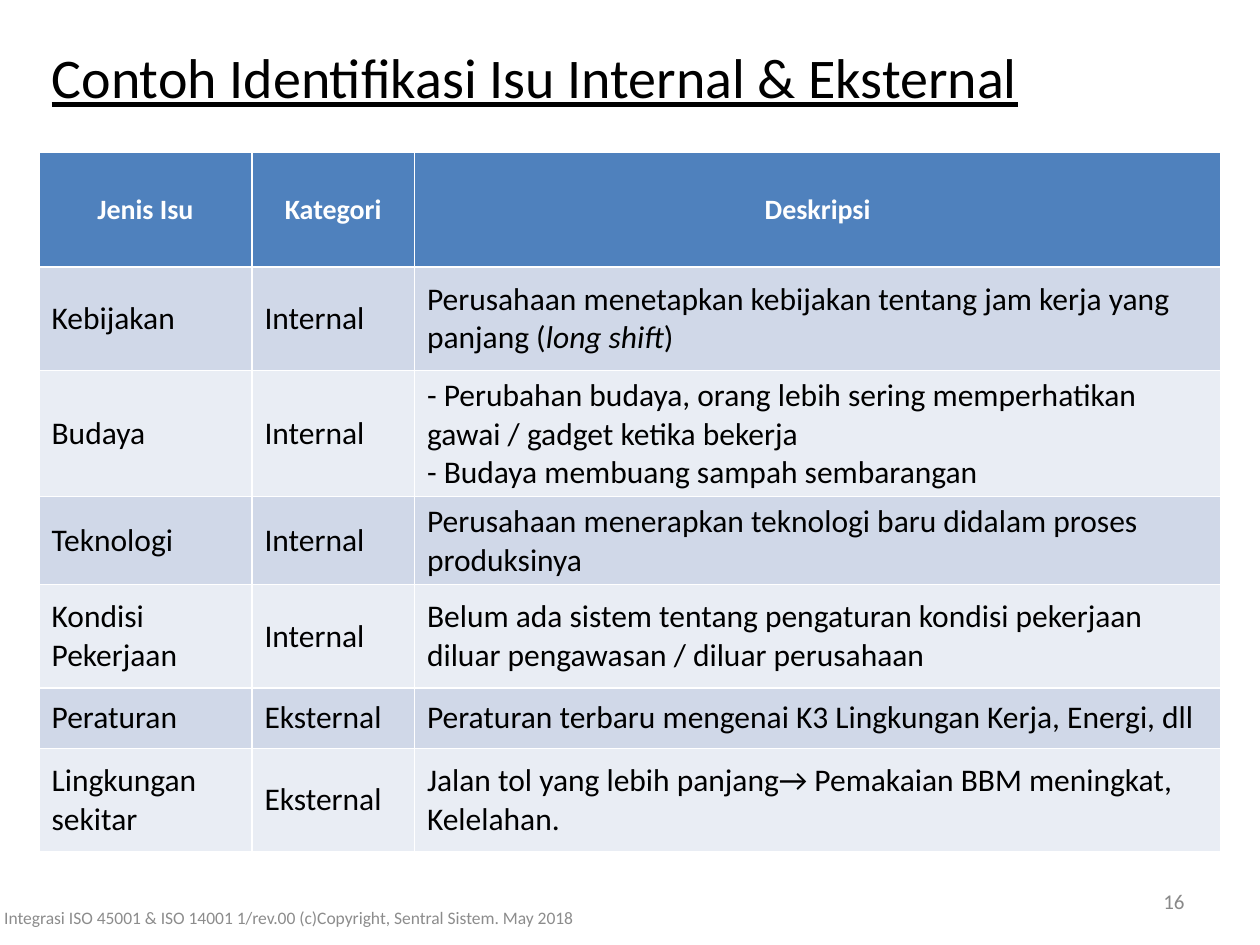
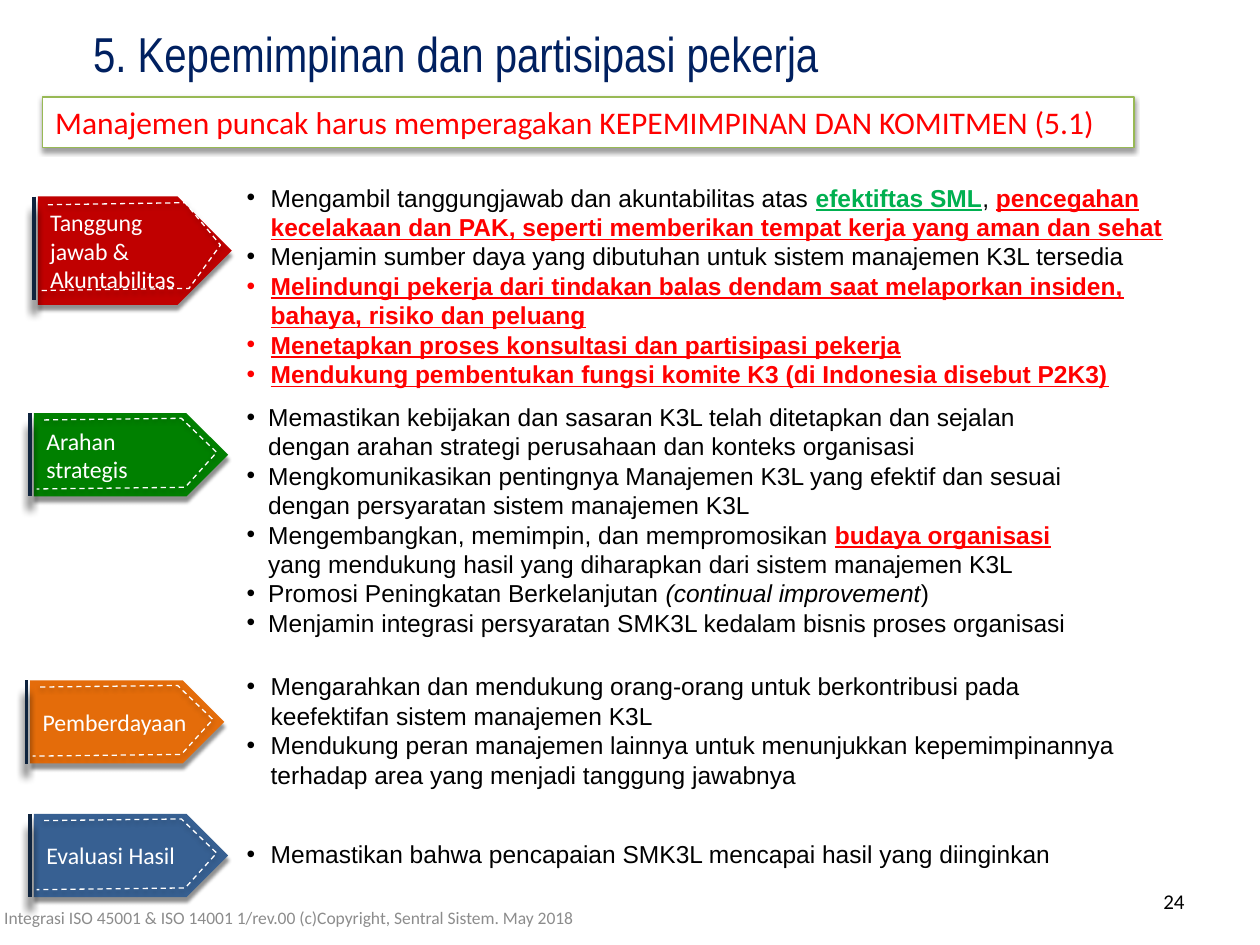
from lxml import etree
from pptx import Presentation
from pptx.dml.color import RGBColor
from pptx.enum.dml import MSO_LINE
from pptx.enum.shapes import MSO_CONNECTOR, MSO_SHAPE
from pptx.enum.text import MSO_ANCHOR, MSO_AUTO_SIZE, PP_ALIGN
from pptx.oxml.ns import qn
from pptx.util import Inches, Pt

LEFT, MID, RIGHT = PP_ALIGN.LEFT, PP_ALIGN.CENTER, PP_ALIGN.RIGHT
TOP, CENTER = MSO_ANCHOR.TOP, MSO_ANCHOR.MIDDLE
RECT, PLATE = MSO_SHAPE.RECTANGLE, MSO_SHAPE.PENTAGON
LINE, DASH, FIXED = MSO_CONNECTOR.STRAIGHT, MSO_LINE.DASH, MSO_AUTO_SIZE.NONE

HEX = {
    "black": "000000", "white": "FFFFFF", "navy": "002060", "bar": "0F243E",
    "red": "FF0000", "lime": "00B050", "edge": "98B955",
    "page": "898989", "foot": "8C8C8C",
    "head": "4F81BD", "odd": "D0D8E8", "even": "E9EDF4",
    "duty": "C00000", "aim": "008000", "power": "E46C0A", "check": "376092",
}

# Run styles: font settings on top of the plain text
STYLES = {
    "plain": {},
    "italic": {"italic": True},
    "alert": {"color": "red", "bold": True, "underline": True},
    "good": {"color": "lime", "bold": True, "underline": True},
}

# Shadows: opacity %, blur pt, distance pt, direction in degrees
SOFT, FINE, DEEP = (43, 2, 3, 85), (38, 3.1, 1.6, 90), (100, 5, 8, 90)

FOOT = ("Integrasi ISO 45001 & ISO 14001 1/rev.00 (c)Copyright, "
        "Sentral Sistem. May 2018")

# Slide 1 content: a paragraph is a string or a list of (text, style) runs
ISSUES = {
    "title": "Contoh Identifikasi Isu Internal & Eksternal",
    "head": ["Jenis Isu", "Kategori", "Deskripsi"],
    "cols": [1.69, 1.29, 6.4],
    "rows": [0.91, 0.82, 0.82, 0.53, 0.82, 0.48, 0.82],
    "body": [
        ("Kebijakan", "Internal", [[
            ("Perusahaan menetapkan kebijakan tentang jam kerja yang panjang (",
             "plain"), ("long shift", "italic"), (")", "plain")]]),
        ("Budaya", "Internal", [
            "- Perubahan budaya, orang lebih sering memperhatikan gawai / "
            "gadget ketika bekerja",
            "- Budaya membuang sampah sembarangan"]),
        ("Teknologi", "Internal", [
            "Perusahaan menerapkan teknologi baru didalam proses produksinya"]),
        ("Kondisi Pekerjaan", "Internal", [
            "Belum ada sistem tentang pengaturan kondisi pekerjaan diluar "
            "pengawasan / diluar perusahaan"]),
        ("Peraturan", "Eksternal", [
            "Peraturan terbaru mengenai K3 Lingkungan Kerja, Energi, dll"]),
        ("Lingkungan sekitar", "Eksternal", [
            "Jalan tol yang lebih panjang→ Pemakaian BBM meningkat, "
            "Kelelahan."]),
    ],
}

# Slide 2 content
LEAD = {
    "title": "5. Kepemimpinan dan partisipasi pekerja",
    "banner": "Manajemen puncak harus memperagakan KEPEMIMPINAN DAN KOMITMEN "
              "(5.1)",
}

# Tag: label, colour, left, top, plate height, bar height
TAGS = [
    ("Tanggung jawab & Akuntabilitas", "duty", 0.3, 1.56, 0.86, 0.82),
    ("Arahan strategis", "aim", 0.27, 3.28, 0.66, 0.66),
    ("Pemberdayaan", "power", 0.24, 5.4, 0.66, 0.66),
    ("Evaluasi Hasil", "check", 0.27, 6.46, 0.66, 0.66),
]
TAG_W = 1.54
# Stitch corners: inches from the left, share of the bar height
STITCH = [(0.08, 0.08), (1.17, 0.06), (1.45, 0.47), (1.2, 0.89), (0.02, 0.91)]

# Bullet lists: box, (left margin, indent), paragraphs
LISTS = [
    ((1.86, 1.4, 7.64, 1.75), (0.19, -0.19), [
        [("Mengambil tanggungjawab dan akuntabilitas atas ", "plain"),
         ("efektiftas SML", "good"), (", ", "plain"),
         ("pencegahan kecelakaan dan PAK, seperti memberikan tempat kerja "
          "yang aman dan sehat", "alert")],
        "Menjamin sumber daya yang dibutuhan untuk sistem manajemen K3L "
        "tersedia",
        [("Melindungi pekerja dari tindakan balas dendam saat melaporkan "
          "insiden, bahaya, risiko dan peluang", "alert")],
        [("Menetapkan proses konsultasi dan partisipasi pekerja", "alert")],
        [("Mendukung pembentukan fungsi komite K3 (di Indonesia disebut P2K3)",
          "alert")],
    ]),
    ((1.81, 3.14, 6.82, 1.99), (0.22, -0.17), [
        "Memastikan kebijakan dan sasaran K3L telah ditetapkan dan sejalan "
        "dengan arahan strategi perusahaan dan konteks organisasi",
        "Mengkomunikasikan pentingnya Manajemen K3L yang efektif dan sesuai "
        "dengan persyaratan sistem manajemen K3L",
        [("Mengembangkan, memimpin, dan mempromosikan ", "plain"),
         ("budaya organisasi ", "alert"),
         ("yang mendukung hasil yang diharapkan dari sistem manajemen K3L",
          "plain")],
        [("Promosi Peningkatan Berkelanjutan ", "plain"),
         ("(continual improvement", "italic"), (")", "plain")],
        "Menjamin integrasi persyaratan SMK3L kedalam bisnis proses organisasi",
    ]),
    ((1.86, 5.28, 7.14, 1.04), (0.19, -0.19), [
        "Mengarahkan dan mendukung orang-orang untuk berkontribusi pada "
        "keefektifan sistem manajemen K3L",
        "Mendukung peran manajemen lainnya untuk menunjukkan "
        "kepemimpinannya terhadap area yang menjadi tanggung jawabnya",
    ]),
    ((1.86, 6.61, 6.82, 0.34), (0.19, -0.19), [
        "Memastikan bahwa pencapaian SMK3L mencapai hasil yang diinginkan",
    ]),
]


def rgb(name):
    return RGBColor.from_string(HEX[name])


def place(*box):
    return [Inches(v) for v in box]


def bullet(para, margin, indent):
    props = para._p.get_or_add_pPr()
    props.set("marL", str(Inches(margin)))
    props.set("indent", str(Inches(indent)))
    etree.SubElement(props, qn("a:buFont")).set("typeface", "Arial")
    etree.SubElement(props, qn("a:buChar")).set("char", "•")


def write(frame, paras, size, color, face="Calibri", align=LEFT, bold=False,
          line=False, dent=None):
    """Fill a text frame with paragraphs of styled runs."""
    for i, item in enumerate(paras):
        para = frame.add_paragraph() if i else frame.paragraphs[0]
        para.alignment = align
        if dent:
            bullet(para, *dent)
        for text, style in [(item, "plain")] if isinstance(item, str) else item:
            look = STYLES[style]
            run = para.add_run()
            run.text = text
            font = run.font
            font.name, font.size = face, Pt(size)
            font.color.rgb = rgb(look.get("color", color))
            font.bold = look.get("bold", bold)
            font.italic = look.get("italic", False)
            font.underline = look.get("underline", line)


def label(slide, box, paras, size, color, anchor=TOP, **kw):
    frame = slide.shapes.add_textbox(*place(*box)).text_frame
    frame.word_wrap = True
    frame.vertical_anchor = anchor
    write(frame, paras, size, color, **kw)


def shade(shape, alpha, blur, dist, angle):
    """Give a shape an outer shadow."""
    props = shape.element.spPr
    for old in props.findall(qn("a:effectLst")):
        props.remove(old)
    cast = etree.SubElement(etree.SubElement(props, qn("a:effectLst")),
                            qn("a:outerShdw"))
    for key, val in (("blurRad", Pt(blur)), ("dist", Pt(dist)),
                     ("dir", angle * 60000), ("rotWithShape", 0)):
        cast.set(key, str(val))
    tone = etree.SubElement(cast, qn("a:srgbClr"))
    tone.set("val", HEX["black"])
    etree.SubElement(tone, qn("a:alpha")).set("val", str(alpha * 1000))


def block(shapes, kind, box, fill, edge, shadow):
    """Add a filled shape; without an edge colour it has no outline."""
    shape = shapes.add_shape(kind, *place(*box))
    shape.fill.solid()
    shape.fill.fore_color.rgb = rgb(fill)
    if edge:
        shape.line.color.rgb = rgb(edge)
        shape.line.width = Pt(0.75)
    else:
        shape.line.fill.background()
    shade(shape, *shadow)
    shape.text_frame.word_wrap = True
    return shape.text_frame


def start(deck, title, box, page, tint, **kw):
    """Add a slide with its title, page number and footer."""
    slide = deck.slides.add_slide(deck.slide_layouts[5])
    head = slide.shapes.title
    head.left, head.top, head.width, head.height = place(*box)
    frame = head.text_frame
    frame.auto_size, frame.vertical_anchor = FIXED, TOP
    write(frame, [title], **kw)
    label(slide, (7.17, 6.95, 2.33, 0.4), [page], 12, tint, CENTER, align=RIGHT)
    label(slide, (-0.19, 7.08, 4.96, 0.4), [FOOT], 10, "foot", CENTER,
          align=MID)
    return slide


def grid(slide, data):
    """Add the table of issues."""
    cols, rows = data["cols"], data["rows"]
    table = slide.shapes.add_table(
        len(rows), len(cols),
        *place(0.31, 1.21, sum(cols), sum(rows))).table
    for col, width in zip(table.columns, cols):
        col.width = Inches(width)
    for row, height in zip(table.rows, rows):
        row.height = Inches(height)
    for r, line in enumerate([data["head"]] + data["body"]):
        for c, item in enumerate(line):
            cell = table.cell(r, c)
            cell.vertical_anchor = CENTER
            cell.fill.solid()
            fill = ("odd" if r % 2 else "even") if r else "head"
            cell.fill.fore_color.rgb = rgb(fill)
            paras = [item] if isinstance(item, str) else item
            if r:
                write(cell.text_frame, paras, 18, "black")
            else:
                write(cell.text_frame, paras, 16, "white", align=MID, bold=True)


def tag(slide, text, color, left, top, high, bar):
    """Add a pointed tag with a side bar and a stitched outline."""
    shapes = slide.shapes.add_group_shape().shapes
    frame = block(shapes, PLATE, (left, top, TAG_W, high), color, None, SOFT)
    frame.vertical_anchor = CENTER
    write(frame, [text], 13.6, "white")

    side = left - 0.03
    rule = shapes.add_connector(LINE, *place(side, top, side, top + bar))
    rule.line.color.rgb = rgb("bar")
    rule.line.width = Pt(2)
    shade(rule, *DEEP)

    spots = [place(left + x, top + y * bar) for x, y in STITCH]
    path = shapes.build_freeform(*spots[0])
    path.add_line_segments(spots[1:], close=False)
    seam = path.convert_to_shape()
    seam.fill.background()
    seam.line.color.rgb = rgb("white")
    seam.line.width = Pt(0.75)
    seam.line.dash_style = DASH
    shade(seam, *FINE)


def main():
    deck = Presentation()
    deck.slide_width, deck.slide_height = place(10, 7.5)

    # Slide 1: issues table
    slide = start(deck, ISSUES["title"], (0.31, 0.29, 8.13, 0.64), "16", "page",
                  size=32, color="black", line=True)
    grid(slide, ISSUES)

    # Slide 2: leadership tags and lists
    slide = start(deck, LEAD["title"], (0.21, 0.14, 6.81, 0.57), "24", "black",
                  size=28, color="navy", face="Arial Narrow", align=MID)
    frame = block(slide.shapes, RECT, (0.34, 0.77, 8.66, 0.4), "white", "edge",
                  FINE)
    frame.vertical_anchor = TOP
    write(frame, [LEAD["banner"]], 18, "red")
    for item in TAGS:
        tag(slide, *item)
    for box, dent, paras in LISTS:
        label(slide, box, paras, 14, "black", face="Arial", dent=dent)

    deck.save("out.pptx")


if __name__ == "__main__":
    main()
